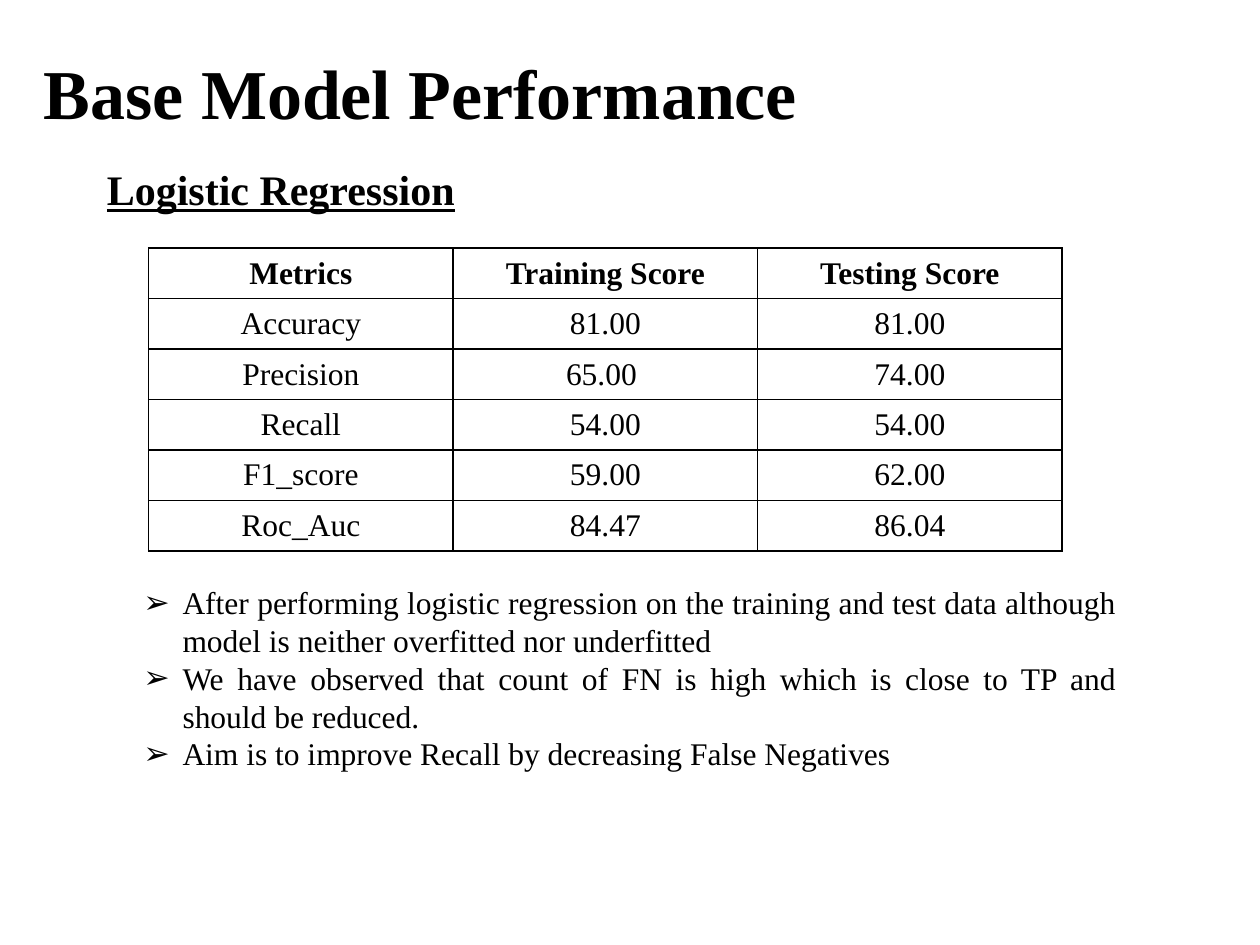
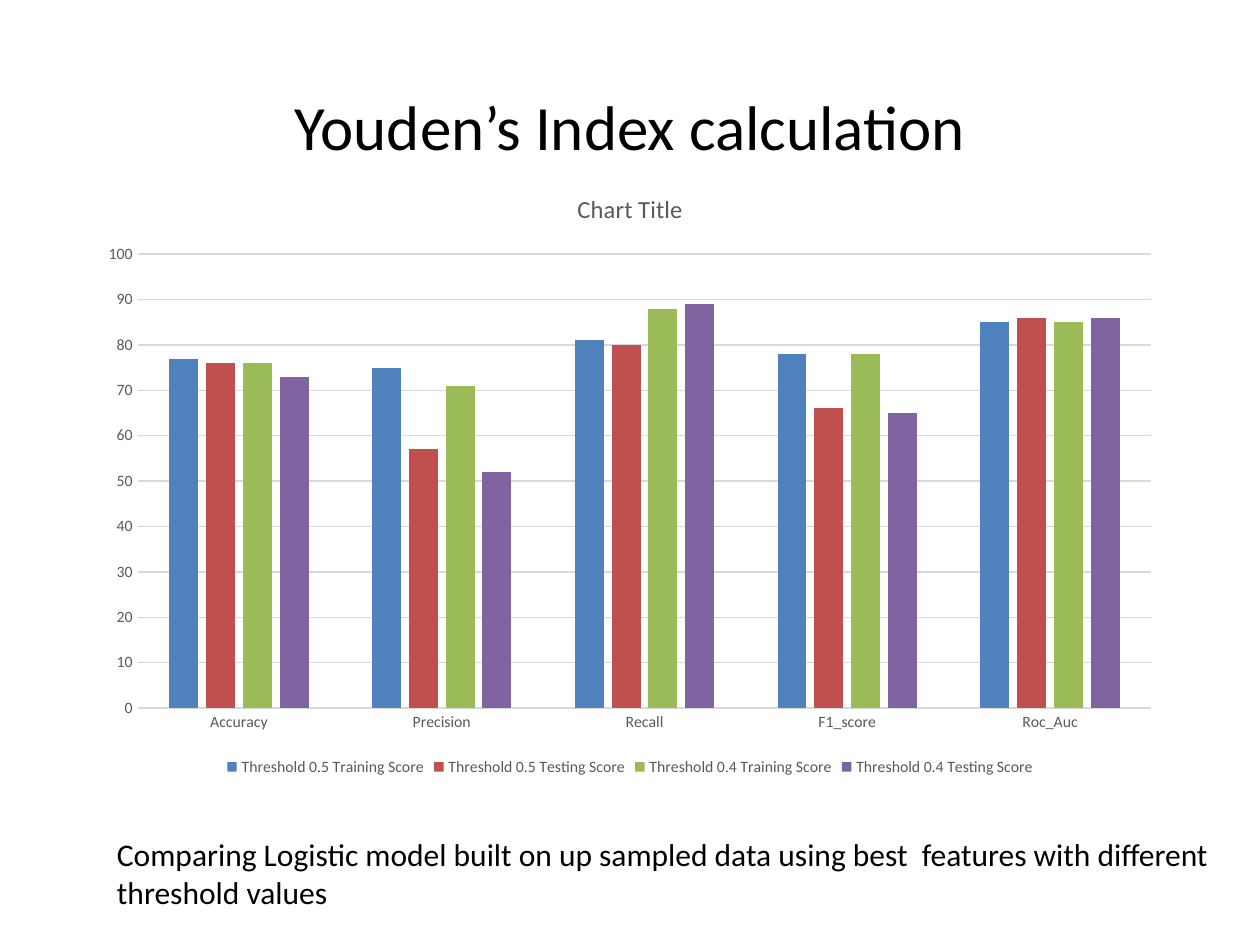
import pptx
import pptx.util
import pptx.dml.color
import pptx.chart.data
import pptx.enum.chart
import pptx.enum.text
import pptx.oxml
import pptx.oxml.ns
from lxml import etree

Inches, Pt = pptx.util.Inches, pptx.util.Pt
ALIGN, ANCHOR = pptx.enum.text.PP_ALIGN, pptx.enum.text.MSO_ANCHOR

BLACK, GREY, GRID = "000000", "595959", "D9D9D9"
SERIF, SANS = "Times New Roman", "Calibri"
METRICS = ["Accuracy", "Precision", "Recall", "F1_score", "Roc_Auc"]


def rgb(value):
    return pptx.dml.color.RGBColor.from_string(value)


def style(font, face, size, color=BLACK, bold=False, underline=False):
    font.name, font.size = face, Pt(size)
    font.bold, font.underline = bold, underline
    font.color.rgb = rgb(color)


def add_child(parent, tag, **attributes):
    child = etree.SubElement(parent, pptx.oxml.ns.qn(tag))
    for name, value in attributes.items():
        child.set(name, str(value))
    return child


def add_text(slide, box, lines, face, size, align=ALIGN.LEFT,
             anchor=ANCHOR.TOP, bold=False, underline=False):
    frame = slide.shapes.add_textbox(*map(Inches, box)).text_frame
    frame.word_wrap = True
    frame.vertical_anchor = anchor
    frame.text = "\n".join(lines)
    for paragraph in frame.paragraphs:
        paragraph.alignment = align
        for run in paragraph.runs:
            style(run.font, face, size, bold=bold, underline=underline)
    return frame


def add_bullets(slide, box, lines, indent=0.31):
    frame = add_text(slide, box, lines, SERIF, 18, ALIGN.JUSTIFY)
    for paragraph in frame.paragraphs:
        properties = paragraph._p.get_or_add_pPr()
        properties.set("marL", str(Inches(indent)))
        properties.set("indent", str(-Inches(indent)))
        add_child(properties, "a:buFont", typeface="Arial")
        add_child(properties, "a:buChar", char="➢")


def add_borders(cell):
    properties = cell._tc.get_or_add_tcPr()
    for side in ("L", "R", "T", "B"):
        line = add_child(properties, "a:ln" + side, w=Pt(1))
        fill = add_child(line, "a:solidFill")
        add_child(fill, "a:srgbClr", val=BLACK)


def add_score_table(slide, box, rows):
    left, top, width, height = map(Inches, box)
    table = slide.shapes.add_table(
        len(rows), len(rows[0]), left, top, width, height).table
    table.horz_banding = False
    for row, values in enumerate(rows):
        for column, value in enumerate(values):
            cell = table.cell(row, column)
            cell.text = value
            cell.vertical_anchor = ANCHOR.MIDDLE
            add_borders(cell)
            cell.fill.background()
            paragraph = cell.text_frame.paragraphs[0]
            paragraph.alignment = ALIGN.CENTER
            style(paragraph.runs[0].font, SERIF, 18, bold=row == 0)


def add_score_chart(slide, box, title, series):
    data = pptx.chart.data.CategoryChartData()
    data.categories = METRICS
    for name, _, values in series:
        data.add_series(name, values)
    chart = slide.shapes.add_chart(
        pptx.enum.chart.XL_CHART_TYPE.COLUMN_CLUSTERED,
        *map(Inches, box), data).chart
    style(chart.font, SANS, 10)

    # Title and legend
    chart.has_title = True
    heading = chart.chart_title.text_frame
    heading.text = title
    style(heading.paragraphs[0].runs[0].font, SANS, 14, GREY)
    chart.has_legend = True
    chart.legend.position = pptx.enum.chart.XL_LEGEND_POSITION.BOTTOM
    chart.legend.include_in_layout = False
    style(chart.legend.font, SANS, 9, GREY)

    # Axes
    scores = chart.value_axis
    scores.minimum_scale, scores.maximum_scale, scores.major_unit = 0, 100, 10
    scores.has_major_gridlines = True
    for axis in (chart.category_axis, scores):
        axis.major_tick_mark = pptx.enum.chart.XL_TICK_MARK.NONE
        style(axis.tick_labels.font, SANS, 9, GREY)
    for line in (chart.category_axis.format.line,
                 scores.major_gridlines.format.line):
        line.color.rgb = rgb(GRID)
        line.width = Pt(0.75)
    scores.format.line.fill.background()

    # Columns
    plot = chart.plots[0]
    plot.gap_width, plot.overlap, plot.vary_by_categories = 219, -27, False
    for columns, (_, color, _) in zip(plot.series, series):
        columns.invert_if_negative = False
        columns.format.fill.solid()
        columns.format.fill.fore_color.rgb = rgb(color)


def build_base_model(slide):
    add_text(slide, (0.25, 0.2, 6.64, 1.05), ["Base Model Performance"],
             SERIF, 40, anchor=ANCHOR.MIDDLE, bold=True)
    add_text(slide, (0.75, 1.25, 3.17, 0.5), ["Logistic Regression"],
             SERIF, 24, bold=True, underline=True)
    training = ["81.00", "65.00 ", "54.00", "59.00", "84.47"]
    testing = ["81.00", "74.00", "54.00", "62.00", "86.04"]
    add_score_table(slide, (1.18, 1.97, 7.25, 2.4), [
        ("Metrics", "Training Score", "Testing Score"),
        *zip(METRICS, training, testing)])
    add_bullets(slide, (1.04, 4.58, 7.92, 1.92), [
        "After performing logistic regression on the training and test data "
        "although model is neither overfitted nor underfitted",
        "We have observed that count of FN is high which is close to TP and "
        "should be reduced.",
        "Aim is to improve Recall by decreasing False Negatives"])


def build_youden(slide):
    add_text(slide, (0.69, 0.32, 8.62, 1.02), ["Youden’s Index calculation"],
             SANS, 36, ALIGN.CENTER, ANCHOR.BOTTOM)
    add_score_chart(slide, (0.69, 1.34, 8.62, 4.86), "Chart Title", [
        ("Threshold 0.5 Training Score", "4F81BD", [77, 75, 81, 78, 85]),
        ("Threshold 0.5 Testing Score", "C0504D", [76, 57, 80, 66, 86]),
        ("Threshold 0.4 Training Score", "9BBB59", [76, 71, 88, 78, 85]),
        ("Threshold 0.4 Testing Score", "8064A2", [73, 52, 89, 65, 86])])
    add_text(slide, (0.83, 6.58, 9.01, 0.71), [
        "Comparing Logistic model built on up sampled data using best  "
        "features with different threshold values"], SANS, 18)


deck = pptx.Presentation()
deck.slide_width, deck.slide_height = Inches(10), Inches(7.5)
for build in (build_base_model, build_youden):
    build(deck.slides.add_slide(deck.slide_layouts[6]))
deck.save("out.pptx")
